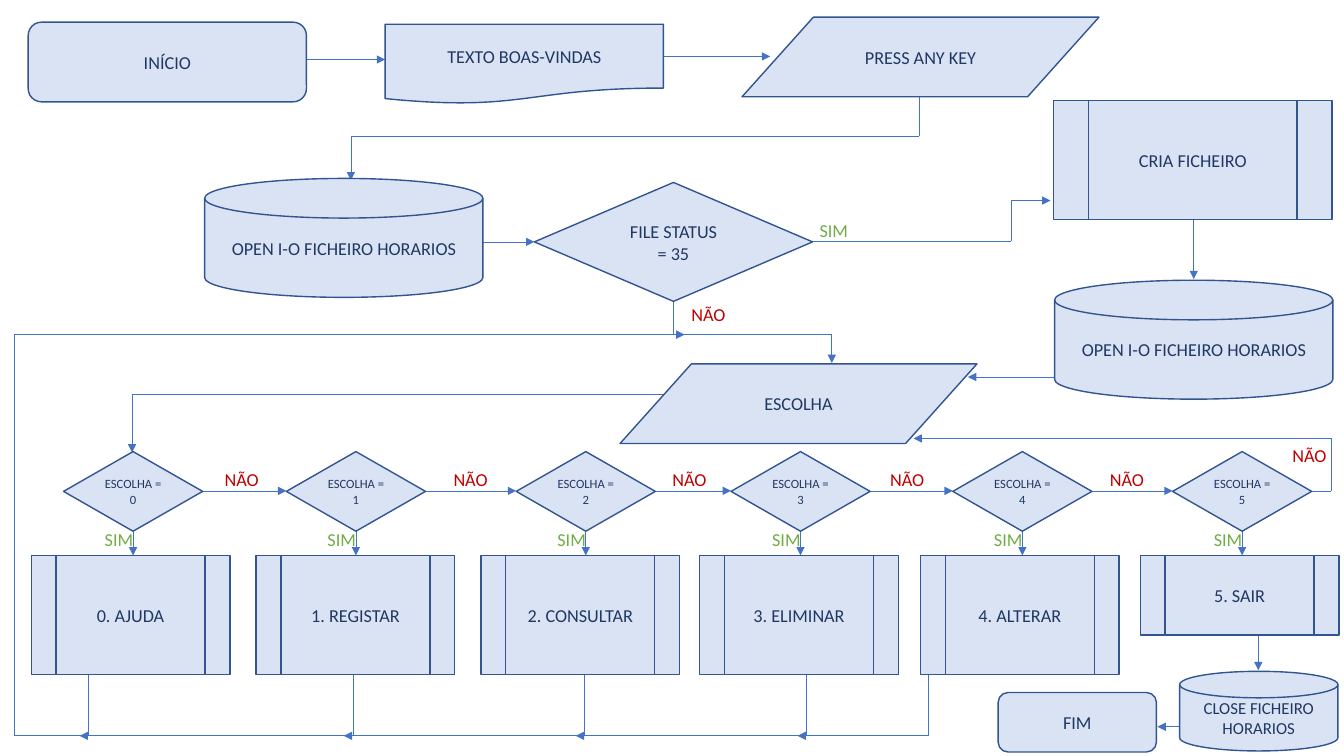
"""Build a one-slide flowchart of a timetable file program."""
import itertools

import pptx
import pptx.dml.color
import pptx.enum.shapes
import pptx.enum.text
import pptx.oxml
import pptx.oxml.ns
import pptx.util

Inches = pptx.util.Inches
RGBColor = pptx.dml.color.RGBColor
MSO = pptx.enum.shapes.MSO_SHAPE

FILL = RGBColor(0xDA, 0xE3, 0xF3)
OUTLINE = RGBColor(0x32, 0x54, 0x91)
ARROW = RGBColor(0x44, 0x72, 0xC4)
TEXT = RGBColor(0x20, 0x38, 0x64)
YES = RGBColor(0x70, 0xAD, 0x47)
NO = RGBColor(0xC0, 0x00, 0x00)


class Flowchart:
    font = "Calibri"
    size = 13

    def __init__(self, slide):
        self.slide = slide

    def add_text(self, p, text, color, size):
        r = p.add_run()
        r.text = text
        r.font.name = self.font
        r.font.size = pptx.util.Pt(size)
        r.font.color.rgb = color

    def node(self, kind, x, y, w, h, *lines, size=size, inset=0.1):
        sp = self.slide.shapes.add_shape(kind, Inches(x), Inches(y), Inches(w), Inches(h))
        sp.shadow.inherit = False
        sp.fill.solid()
        sp.fill.fore_color.rgb = FILL
        sp.line.color.rgb = OUTLINE
        sp.line.width = pptx.util.Pt(1)
        tf = sp.text_frame
        tf.word_wrap = True
        tf.margin_left = tf.margin_right = Inches(inset)
        tf.vertical_anchor = pptx.enum.text.MSO_ANCHOR.MIDDLE
        for i, line in enumerate(lines):
            p = tf.add_paragraph() if i else tf.paragraphs[0]
            p.alignment = pptx.enum.text.PP_ALIGN.CENTER
            self.add_text(p, line, TEXT, size)

    def label(self, x, y, text, color):
        sp = self.slide.shapes.add_textbox(Inches(x), Inches(y), Inches(0.54), Inches(0.32))
        tf = sp.text_frame
        tf.word_wrap = True
        tf.margin_right = 0
        self.add_text(tf.paragraphs[0], text, color, self.size)

    def route(self, *points):
        ns = pptx.oxml.ns.nsdecls("a")
        for (x1, y1), (x2, y2) in itertools.pairwise(points):
            cx = self.slide.shapes.add_connector(
                pptx.enum.shapes.MSO_CONNECTOR.STRAIGHT,
                Inches(x1), Inches(y1), Inches(x2), Inches(y2))
            cx.line.color.rgb = ARROW
            cx.line.width = pptx.util.Pt(0.5)
            cx.element.spPr.append(pptx.oxml.parse_xml(f"<a:effectLst {ns}/>"))
        ln = cx.element.spPr.find(pptx.oxml.ns.qn("a:ln"))
        ln.append(pptx.oxml.parse_xml(f'<a:tailEnd {ns} type="triangle"/>'))


prs = pptx.Presentation()
prs.slide_width = Inches(13.33)
prs.slide_height = Inches(7.5)
s = prs.slides.add_slide(prs.slide_layouts[6])
chart = Flowchart(s)

decision_xs = [0.63, 2.84, 5.12, 7.25, 9.45, 11.63]
action_xs = [0.31, 2.54, 4.77, 6.94, 9.13, 11.31]
no_xs = [2.13, 4.4, 6.57, 8.73, 10.91]
return_xs = [0.88, 3.5, 5.8, 8, 9.21]
actions = ["AJUDA", "REGISTAR", "CONSULTAR", "ELIMINAR", "ALTERAR", "SAIR"]
decision_w, decision_y, mid_y = 1.38, 4.48, 4.87
action_y, return_y, loop_x, loop_y = 5.51, 7.3, 0.14, 3.32

chart.route((3.03, 0.59), (3.82, 0.59))
chart.route((6.58, 0.56), (7.64, 0.56))
chart.route((9.12, 0.96), (9.12, 1.35), (3.48, 1.35), (3.48, 1.79))
chart.route((4.79, 2.4), (5.3, 2.4))
chart.route((8.02, 2.39), (10.03, 2.39), (10.03, 1.99), (10.42, 1.99))
chart.route((11.84, 2.18), (11.84, 2.77))
chart.route((10.46, 3.74), (9.6, 3.74))
chart.route((6.68, 2.96), (6.68, loop_y), (8.25, loop_y), (8.25, 3.6))
chart.route((6.59, 3.91), (1.31, 3.91), (1.31, 4.49))
chart.route((13.01, mid_y), (13.2, mid_y), (13.2, 4.35), (9.06, 4.35))
chart.route((12.48, 6.3), (12.48, 6.65))
chart.route((11.7, 7.21), (11.48, 7.21))
for x, next_x in itertools.pairwise(decision_xs):
    chart.route((x + decision_w, mid_y), (next_x, mid_y))
for x in decision_xs:
    chart.route((x + decision_w / 2, 5.24), (x + decision_w / 2, action_y))
for left, right in itertools.pairwise(return_xs):
    chart.route((right, 6.69), (right, return_y), (left - 0.09, return_y))
chart.route((return_xs[0], 6.69), (return_xs[0], return_y),
            (loop_x, return_y), (loop_x, loop_y), (6.79, loop_y))

chart.node(MSO.FLOWCHART_ALTERNATE_PROCESS, 0.28, 0.22, 2.76, 0.79, "INÍCIO")
chart.node(MSO.FLOWCHART_DOCUMENT, 3.82, 0.24, 2.76, 0.79, "TEXTO BOAS-VINDAS")
chart.node(MSO.FLOWCHART_DATA, 7.36, 0.17, 3.54, 0.79, "PRESS ANY KEY")
chart.node(MSO.FLOWCHART_PREDEFINED_PROCESS, 10.45, 1, 2.76, 1.18, "CRIA FICHEIRO")
for x, y in [(2.03, 1.77), (10.46, 2.78)]:
    chart.node(MSO.FLOWCHART_MAGNETIC_DISK, x, y, 2.76, 1.18, "OPEN I-O FICHEIRO HORARIOS")
chart.node(MSO.FLOWCHART_DECISION, 5.3, 1.81, 2.76, 1.18, "FILE STATUS", "= 35")
chart.node(MSO.FLOWCHART_DATA, 6.15, 3.61, 3.54, 0.79, "ESCOLHA")
for i, (x, action_x, action) in enumerate(zip(decision_xs, action_xs, actions)):
    chart.node(MSO.FLOWCHART_DECISION, x, decision_y, decision_w, 0.79,
               f"ESCOLHA = {i}", size=9, inset=0.05)
    chart.node(MSO.FLOWCHART_PREDEFINED_PROCESS, action_x, action_y, 1.97,
               0.79 if action == "SAIR" else 1.18, f"{i}. {action}")
    chart.label(x + 0.31, 5.19, "SIM", YES)
chart.node(MSO.FLOWCHART_MAGNETIC_DISK, 11.7, 6.66, 1.57, 0.79,
           "CLOSE FICHEIRO HORARIOS", size=12)
chart.node(MSO.FLOWCHART_ALTERNATE_PROCESS, 9.9, 6.87, 1.57, 0.59, "FIM")

chart.label(8.03, 2.13, "SIM", YES)
chart.label(6.76, 2.96, "NÃO", NO)
chart.label(12.72, 4.36, "NÃO", NO)
for x in no_xs:
    chart.label(x, 4.6, "NÃO", NO)

prs.save("out.pptx")
